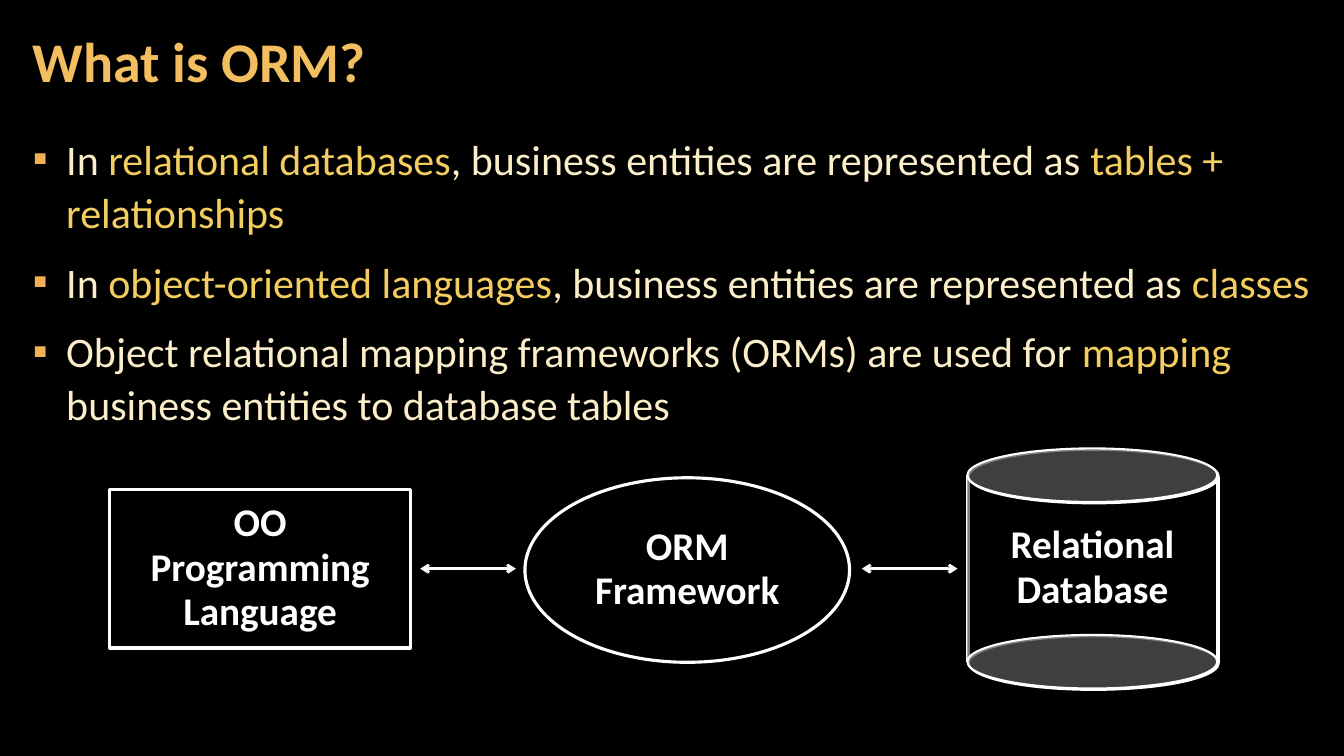
import pptx
import pptx.dml.color
import pptx.enum.shapes
import pptx.enum.text
import pptx.oxml
import pptx.oxml.ns
import pptx.util
from lxml import etree

Cm, Pt = pptx.util.Cm, pptx.util.Pt
SHAPE = pptx.enum.shapes.MSO_SHAPE
ALIGN = pptx.enum.text.PP_ALIGN
ANCHOR = pptx.enum.text.MSO_ANCHOR

COLORS = {"black": "000000", "white": "FFFFFF", "title": "F3BE60",
          "body": "FBEEC9", "accent": "F3CD60", "bullet": "F2B254"}
TITLE = [[("What is ORM?", "title")]]
POINTS = [
    [("In ", "body"), ("relational databases", "accent"),
     (", business entities are represented as ", "body"), ("tables + relationships", "accent")],
    [("In ", "body"), ("object-oriented languages", "accent"),
     (", business entities are represented as ", "body"), ("classes", "accent")],
    [("Object relational mapping frameworks (ORMs) are used for ", "body"),
     ("mapping ", "accent"), ("business entities to database tables", "body")],
]
NODES = [
    (SHAPE.OVAL, (13.23, 12.04, 8.18, 4.65), ["ORM", "Framework"], 50),
    (SHAPE.RECTANGLE, (2.77, 12.34, 7.57, 3.99), ["OO", "Programming", "Language"], 40),
]
DATABASE = ["Relational", "Database"]
AXIS = 14.33
ARROW_STARTS, ARROW_LENGTH = (10.59, 21.72), 2.41
CYLINDER_LEFT, CYLINDER_WIDTH = 24.38, 6.3
CAP_TOPS, CAP_HEIGHT = (11.3, 16.0), 1.35
WALL_TOP, WALL_BOTTOM = 11.98, 16.68


def rgb(name):
    """Return the named colour."""
    return pptx.dml.color.RGBColor.from_string(COLORS[name])


def add_xml(parent, tag, **attributes):
    """Append a DrawingML element to its parent."""
    child = etree.SubElement(parent, pptx.oxml.ns.qn("a:" + tag))
    for key, value in attributes.items():
        child.set(key, str(value))
    return child


def write(box, paragraphs, size, margins, bold=False, align=ALIGN.LEFT,
          anchor=ANCHOR.MIDDLE, line_spacing=0.95, gap=0, bullet=None):
    """Fill a box with formatted paragraphs of coloured spans."""
    frame = box.text_frame
    frame.word_wrap = True
    frame.vertical_anchor = anchor
    frame.margin_left, frame.margin_top, frame.margin_right, frame.margin_bottom = map(Cm, margins)
    for index, spans in enumerate(paragraphs):
        para = frame.add_paragraph() if index else frame.paragraphs[0]
        para.alignment = align
        para.line_spacing = line_spacing
        para.space_before = Pt(gap if index else 0)
        para.space_after = Pt(gap)
        if bullet:
            properties = para._p.get_or_add_pPr()
            properties.set("marL", str(Cm(0.84)))
            properties.set("indent", str(-Cm(0.84)))
            add_xml(add_xml(properties, "buClr"), "srgbClr", val=COLORS["bullet"])
            add_xml(properties, "buFont", typeface="Calibri")
            add_xml(properties, "buChar", char=bullet)
        for text, color in spans:
            span = para.add_run()
            span.text = text
            span.font.name = "Calibri"
            span.font.size = Pt(size)
            span.font.bold = bold
            span.font.color.rgb = rgb(color)


def add_glow(effects):
    """Give an effect list a short white shadow."""
    shadow = add_xml(effects, "outerShdw", dist=Pt(1.4), dir=2700000,
                     algn="ctr", rotWithShape=0)
    add_xml(shadow, "srgbClr", val=COLORS["white"])


def add_node(page, kind, place, opacity, width=0, glow=False):
    """Draw a translucent black shape, outlined when a width is given."""
    node = page.shapes.add_shape(kind, *map(Cm, place))
    node.shadow.inherit = False
    node.fill.solid()
    node.fill.fore_color.rgb = rgb("black")
    fill = node._element.spPr.find(pptx.oxml.ns.qn("a:solidFill"))
    add_xml(fill[0], "alpha", val=opacity * 1000)
    if width:
        node.line.color.rgb = rgb("white")
        node.line.width = Pt(width)
    else:
        node.line.fill.background()
    if glow:
        add_glow(node._element.spPr.find(pptx.oxml.ns.qn("a:effectLst")))
    return node


def add_line(page, start, end, width, arrows=False):
    """Draw a white line, either two-headed or with a shadow."""
    line = page.shapes.add_connector(pptx.enum.shapes.MSO_CONNECTOR.STRAIGHT,
                                     *map(Cm, start + end))
    line.line.color.rgb = rgb("white")
    line.line.width = Pt(width)
    effects = add_xml(line._element.spPr, "effectLst")
    if arrows:
        outline = line.line._get_or_add_ln()
        add_xml(outline, "headEnd", type="arrow")
        add_xml(outline, "tailEnd", type="arrow")
    else:
        add_glow(effects)


def label(node, lines, side):
    """Centre bold white lines in a diagram node."""
    write(node, [[(text, "white")] for text in lines], 28,
          (side, 0.25, side, 0.3), bold=True, align=ALIGN.CENTER)


def main():
    """Build the slide and save it."""
    deck = pptx.Presentation()
    deck.slide_width, deck.slide_height = Cm(33.87), Cm(19.05)
    page = deck.slides.add_slide(deck.slide_layouts[6])
    page.background.fill.solid()
    page.background.fill.fore_color.rgb = rgb("black")

    margins = (0.3, 0.1, 0.3, 0.1)
    title = page.shapes.add_textbox(Cm(0.53), Cm(0.1), Cm(26.6), Cm(3.07))
    write(title, TITLE, 40, margins, bold=True, line_spacing=0.9)
    body = page.shapes.add_textbox(Cm(0.53), Cm(3.2), Cm(32.8), Cm(15.47))
    write(body, POINTS, 30, margins, anchor=ANCHOR.TOP, line_spacing=1.05, gap=6, bullet="▪")

    for kind, place, lines, opacity in NODES:
        label(add_node(page, kind, place, opacity, 2.25), lines, 0)
    for left in ARROW_STARTS:
        add_line(page, (left, AXIS), (left + ARROW_LENGTH, AXIS), 2, arrows=True)

    right = CYLINDER_LEFT + CYLINDER_WIDTH
    add_line(page, (CYLINDER_LEFT, WALL_TOP), (CYLINDER_LEFT, WALL_BOTTOM), 1.5)
    wall = add_node(page, SHAPE.RECTANGLE, (CYLINDER_LEFT, WALL_TOP, CYLINDER_WIDTH,
                                            WALL_BOTTOM - WALL_TOP), 50)
    label(wall, DATABASE, 0.4)
    for top in CAP_TOPS:
        add_node(page, SHAPE.OVAL, (CYLINDER_LEFT, top, CYLINDER_WIDTH, CAP_HEIGHT),
                 50, 1.5, glow=True)
    add_line(page, (right, WALL_TOP), (right, WALL_BOTTOM), 1.5)
    deck.save("out.pptx")


if __name__ == "__main__":
    main()
